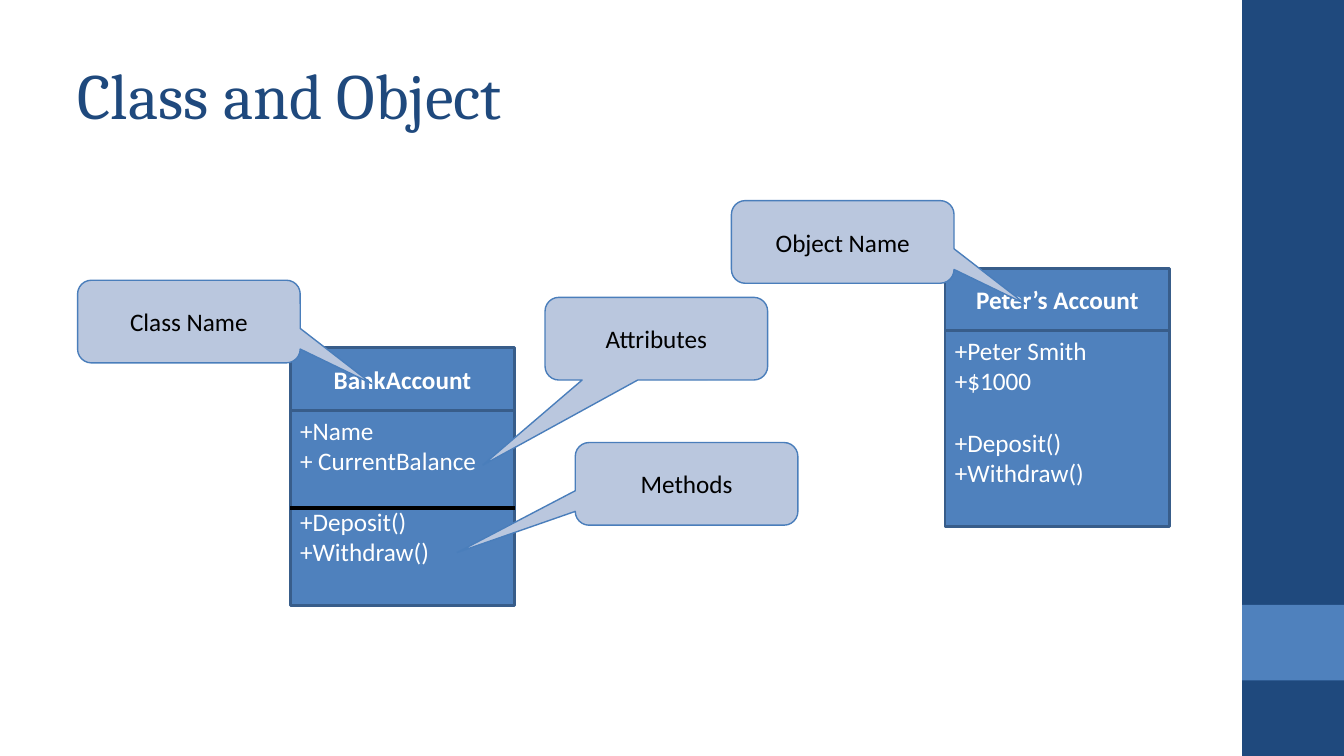
from dataclasses import dataclass

from pptx import Presentation
from pptx.dml.color import RGBColor
from pptx.enum.shapes import MSO_CONNECTOR, MSO_SHAPE
from pptx.enum.text import MSO_ANCHOR, PP_ALIGN
from pptx.oxml.ns import qn
from pptx.util import Inches, Pt

RECT = MSO_SHAPE.RECTANGLE
CALLOUT = MSO_SHAPE.ROUNDED_RECTANGULAR_CALLOUT
STRAIGHT = MSO_CONNECTOR.STRAIGHT
TOP, MIDDLE = MSO_ANCHOR.TOP, MSO_ANCHOR.MIDDLE
LEFT, CENTER = PP_ALIGN.LEFT, PP_ALIGN.CENTER

NAVY = RGBColor(0x1F, 0x49, 0x7D)
BLUE = RGBColor(0x4F, 0x81, 0xBD)
BOX_EDGE = RGBColor(0x38, 0x5D, 0x8A)
PALE = RGBColor(0xBA, 0xC7, 0xDE)
CALLOUT_EDGE = RGBColor(0x4A, 0x7E, 0xBB)
WHITE = RGBColor(0xFF, 0xFF, 0xFF)
BLACK = RGBColor(0, 0, 0)

BOX_W, NAME_H, BODY_H = 2.23, 0.62, 1.94
CALLOUT_W, CALLOUT_H = 2.21, 0.82
METHODS_GAP = Pt(22)  # one line of 18 pt text


@dataclass
class UmlBox:
    name: str
    attributes: list[str]
    methods: list[str]
    left: float
    top: float


@dataclass
class Callout:
    label: str
    left: float
    top: float
    tip_x: float  # tip offset from the centre, as a share of the width
    tip_y: float


CLASS_BOX = UmlBox("BankAccount", ["+Name", "+ CurrentBalance"],
                   ["+Deposit()", "+Withdraw()"], 2.88, 3.45)
OBJECT_BOX = UmlBox("Peter’s Account", ["+Peter Smith", "+$1000"],
                    ["+Deposit()", "+Withdraw()"], 9.38, 2.66)
CALLOUTS = [
    Callout("Class Name", 0.77, 2.78, 0.82, 0.75),
    Callout("Attributes", 5.41, 2.95, -0.78, 1.53),
    Callout("Methods", 5.71, 4.39, -1.03, 0.83),
    Callout("Object Name", 7.26, 1.99, 0.82, 0.75),
]


def add_block(s, kind, left: float, top: float, width: float, height: float,
              fill: RGBColor, edge: RGBColor | None = None, weight: float = 1):
    sp = s.shapes.add_shape(kind, Inches(left), Inches(top), Inches(width), Inches(height))
    sp.shadow.inherit = False
    sp.fill.solid()
    sp.fill.fore_color.rgb = fill
    if edge is None:
        sp.line.fill.background()
    else:
        sp.line.color.rgb = edge
        sp.line.width = Pt(weight)
    return sp


def write(sp, text: str, color: RGBColor, size: float = 18, font: str = "Calibri",
          bold: bool = False, align=CENTER, anchor=MIDDLE) -> None:
    tf = sp.text_frame
    tf.word_wrap = True
    tf.vertical_anchor = anchor
    tf.text = text
    for p in tf.paragraphs:
        p.alignment = align
        for r in p.runs:
            r.font.name = font
            r.font.size = Pt(size)
            r.font.bold = bold
            r.font.color.rgb = color


def add_uml_box(s, box: UmlBox) -> None:
    name = add_block(s, RECT, box.left, box.top, BOX_W, NAME_H, BLUE, BOX_EDGE, 2)
    write(name, box.name, WHITE, bold=True)
    body = add_block(s, RECT, box.left, box.top + NAME_H, BOX_W, BODY_H, BLUE, BOX_EDGE, 2)
    write(body, "\n".join(box.attributes + box.methods), WHITE, align=LEFT, anchor=TOP)
    body.text_frame.paragraphs[len(box.attributes)].space_before = METHODS_GAP


def add_divider(s, left: float, right: float, y: float) -> None:
    line = s.shapes.add_connector(STRAIGHT, Inches(left), Inches(y), Inches(right), Inches(y))
    line.line.color.rgb = BLACK
    line.line.width = Pt(3)
    sp_pr = line._element.spPr
    sp_pr.append(sp_pr.makeelement(qn("a:effectLst"), {}))


def add_callout(s, callout: Callout) -> None:
    sp = add_block(s, CALLOUT, callout.left, callout.top, CALLOUT_W, CALLOUT_H,
                   PALE, CALLOUT_EDGE)
    sp.adjustments[0] = callout.tip_x
    sp.adjustments[1] = callout.tip_y
    write(sp, callout.label, BLACK)


def main() -> None:
    prs = Presentation()
    prs.slide_width, prs.slide_height = Inches(13.34), Inches(7.5)
    s = prs.slides.add_slide(prs.slide_layouts[6])

    # Side band
    add_block(s, RECT, 12.33, 0, 1.01, 7.5, NAVY)
    add_block(s, RECT, 12.33, 6, 1.01, 0.75, BLUE)

    # Title
    title = s.shapes.add_textbox(Inches(0.67), Inches(0.3), Inches(11.11), Inches(1.25))
    write(title, "Class and Object", NAVY, 46, "Cambria", align=LEFT)

    # Class and object boxes
    add_uml_box(s, CLASS_BOX)
    add_divider(s, CLASS_BOX.left, CLASS_BOX.left + BOX_W, 5.04)
    add_uml_box(s, OBJECT_BOX)

    # Callouts
    for callout in CALLOUTS:
        add_callout(s, callout)

    prs.save("out.pptx")


if __name__ == "__main__":
    main()
